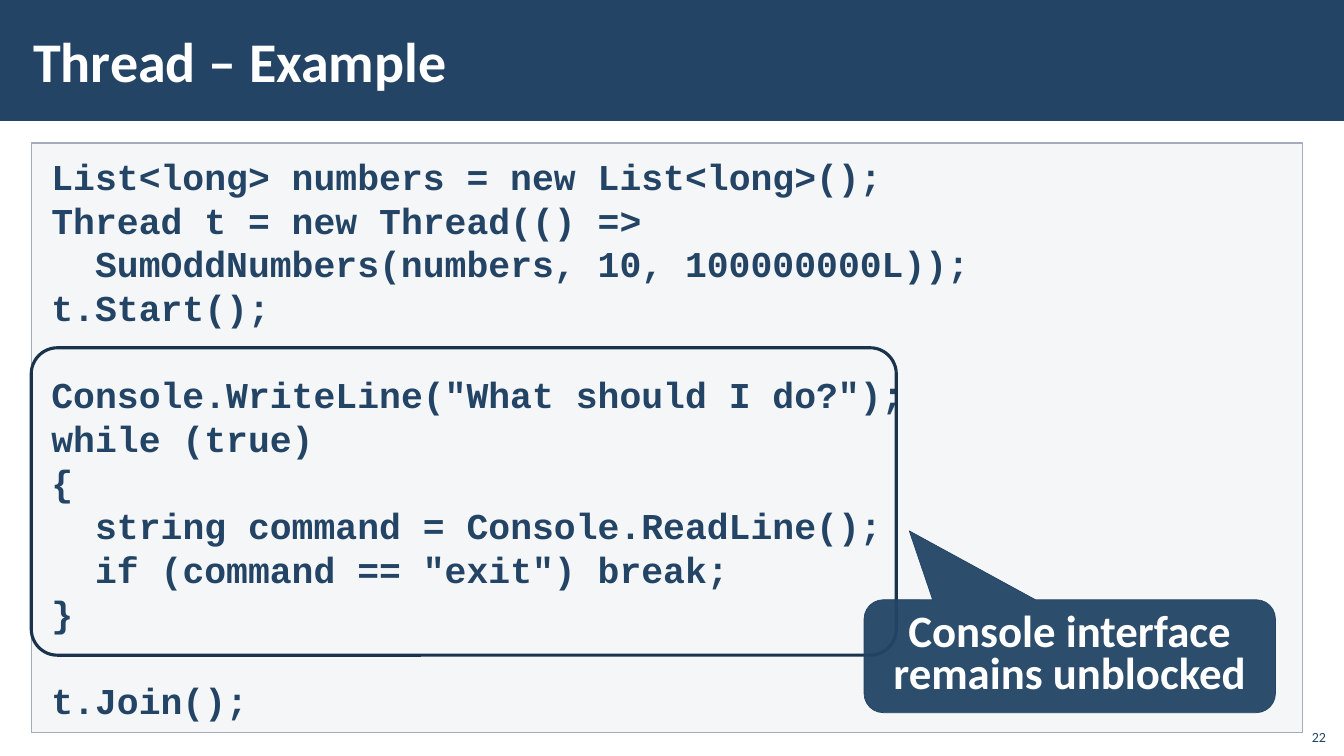
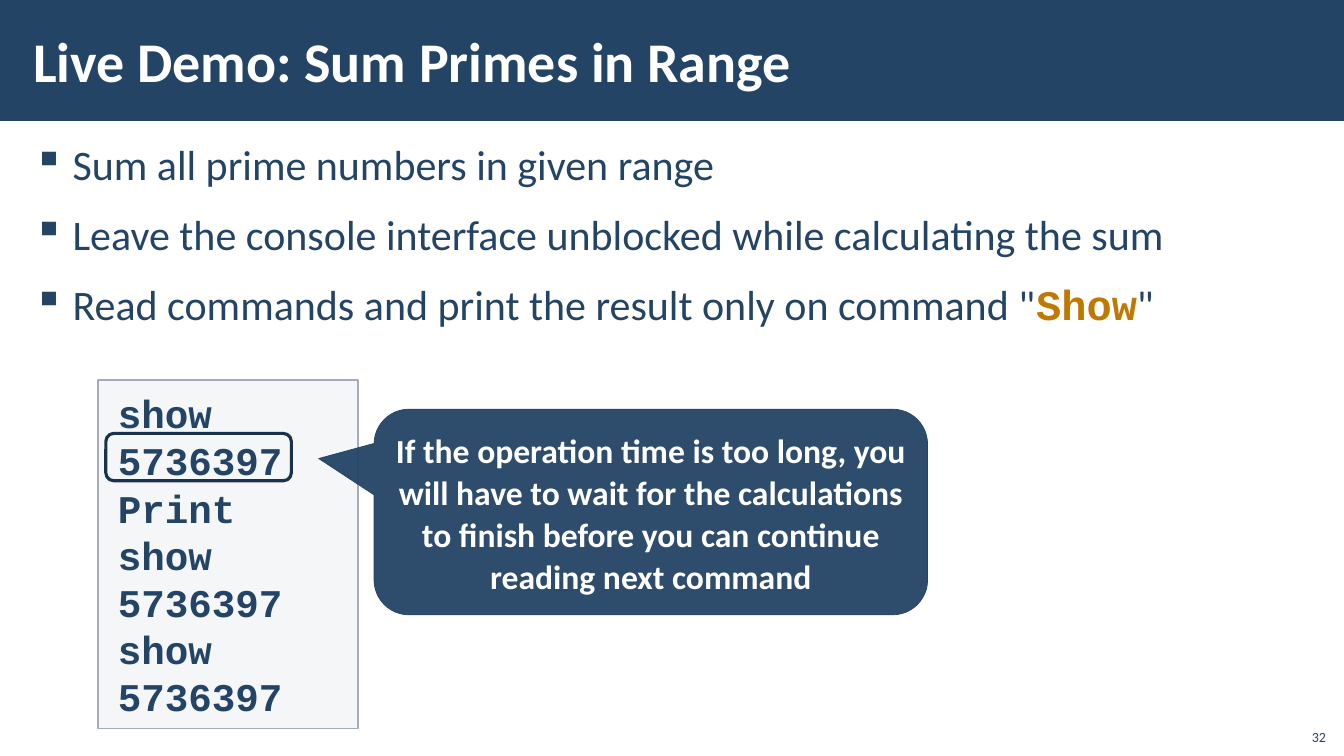
from lxml.etree import SubElement
from pptx import Presentation
from pptx.dml.color import RGBColor
from pptx.enum.shapes import MSO_SHAPE
from pptx.enum.text import MSO_ANCHOR, PP_ALIGN
from pptx.oxml.ns import qn
from pptx.util import Inches, Pt

NAVY = RGBColor(0x23, 0x44, 0x65)
DARK_NAVY = RGBColor(0x1A, 0x33, 0x4C)
PANEL_FILL = RGBColor(0xC2, 0xC7, 0xD2)
PANEL_LINE = RGBColor(0xA3, 0xAB, 0xBC)
WHITE = RGBColor(0xFF, 0xFF, 0xFF)
ORANGE = RGBColor(0xBF, 0x78, 0x00)

TEXT_FONT = "Calibri"
CODE_FONT = "Courier New"
CODE_LEFT = 0.2
CODE_LINE = 1.2  # line pitch as a multiple of the font size
CODE_MARGINS = (0, 0.08)
CALLOUT_MARGINS = (0.1, 0.08)
PLACE_MARGINS = (0.12, 0.04)


def add_box(slide, kind, place, fill=None, opacity=100, line=None, line_width=1, adjustments=()):
    """Add a preset shape; without a fill or line colour that part is left clear."""
    shape = slide.shapes.add_shape(kind, *map(Inches, place))
    shape.shadow.inherit = False
    for index, value in enumerate(adjustments):
        shape.adjustments[index] = value
    if fill is None:
        shape.fill.background()
    else:
        shape.fill.solid()
        shape.fill.fore_color.rgb = fill
        if opacity < 100:
            color = shape.fill._xPr.find(qn("a:solidFill"))[0]
            SubElement(color, qn("a:alpha"), val=str(opacity * 1000))
    if line is None:
        shape.line.fill.background()
    else:
        shape.line.color.rgb = line
        shape.line.width = Pt(line_width)
    return shape


def write(shape, lines, size, color, margins, font=TEXT_FONT, bold=True,
          align=PP_ALIGN.LEFT, anchor=MSO_ANCHOR.MIDDLE):
    """Fill a shape with one paragraph per line and return the paragraphs."""
    frame = shape.text_frame
    frame.word_wrap = True
    frame.vertical_anchor = anchor
    frame.margin_left = frame.margin_right = Inches(margins[0])
    frame.margin_top = frame.margin_bottom = Inches(margins[1])
    frame.text = "\n".join(lines)
    for paragraph in frame.paragraphs:
        paragraph.alignment = align
        paragraph.font.name = font
        paragraph.font.size = Pt(size)
        paragraph.font.bold = bold
        paragraph.font.color.rgb = color
    return frame.paragraphs


presentation = Presentation()
presentation.slide_width = Inches(13.33)
presentation.slide_height = Inches(7.5)

# Title band and slide number
slides = []
for title, number in (("Thread – Example", 22), ("Live Demo: Sum Primes in Range", 32)):
    slide = presentation.slides.add_slide(presentation.slide_layouts[6])
    add_box(slide, MSO_SHAPE.RECTANGLE, (0, 0, 13.33, 1.2), fill=NAVY)
    title_box = slide.shapes.add_textbox(*map(Inches, (0.21, 0.11, 10.63, 0.97)))
    write(title_box, [title], 40, WHITE, PLACE_MARGINS)
    number_box = slide.shapes.add_textbox(*map(Inches, (12.85, 7.12, 0.4, 0.32)))
    write(number_box, [str(number)], 10, NAVY, (0.1, 0.05), bold=False,
          align=PP_ALIGN.RIGHT, anchor=MSO_ANCHOR.BOTTOM)
    slides.append(slide)
thread_slide, demo_slide = slides

# Bullets: text, then an optional code word and the text after it
bullets = (
    ("Sum all prime numbers in given range",),
    ("Leave the console interface unblocked while calculating the sum",),
    ("Read commands and print the result only on command \"", "Show", "\""),
)
bullet_box = demo_slide.shapes.add_textbox(*map(Inches, (0.21, 1.31, 12.92, 6.05)))
paragraphs = write(bullet_box, [bullet[0] for bullet in bullets], 30, NAVY, PLACE_MARGINS,
                   bold=False, anchor=MSO_ANCHOR.TOP)
for paragraph, bullet in zip(paragraphs, bullets):
    properties = paragraph._p.get_or_add_pPr()
    properties.set("marL", str(Inches(0.39)))
    properties.set("indent", str(-Inches(0.39)))
    mark = SubElement(properties, qn("a:buChar"), char="▪")
    properties.find(qn("a:defRPr")).addprevious(mark)
    paragraph.line_spacing = 1.05
    paragraph.space_before = paragraph.space_after = Pt(6)
    for position, text in enumerate(bullet[1:]):
        run = paragraph.add_run()
        run.text = text
        if position == 0:
            run.font.name = CODE_FONT
            run.font.bold = True
            run.font.color.rgb = ORANGE

# Code panels: each inner list is a block, with one line of space between blocks
thread_code = (
    ("List<long> numbers = new List<long>();",
     "Thread t = new Thread(() =>",
     "  SumOddNumbers(numbers, 10, 100000000L));",
     "t.Start();"),
    ("Console.WriteLine(\"What should I do?\");",
     "while (true)",
     "{",
     "  string command = Console.ReadLine();",
     "  if (command == \"exit\") break;",
     "}"),
    ("t.Join();",),
)
demo_session = (("show", "5736397", "Print", "show", "5736397", "show", "5736397"),)
for slide, place, size, blocks in (
    (thread_slide, (0.31, 1.42, 12.61, 5.85), 26, thread_code),
    (demo_slide, (0.97, 3.77, 2.58, 3.46), 28, demo_session),
):
    panel = add_box(slide, MSO_SHAPE.RECTANGLE, place, PANEL_FILL, 15, PANEL_LINE)
    lines = [line for block in blocks for line in block]
    block_starts = [block[0] for block in blocks[1:]]
    paragraphs = write(panel, [line.strip() for line in lines], size, NAVY, CODE_MARGINS, CODE_FONT)
    for paragraph, line in zip(paragraphs, lines):
        spaces = len(line) - len(line.lstrip())
        indent = Inches(CODE_LEFT) + Pt(spaces * 0.6 * size)
        paragraph._p.get_or_add_pPr().set("marL", str(indent))
        paragraph.line_spacing = Pt(size * CODE_LINE)
        if line in block_starts:
            paragraph.space_before = Pt(size * CODE_LINE)

# Highlight frames
for slide, place, radius in (
    (thread_slide, (0.31, 3.45, 8.58, 3.05), 0.085),
    (demo_slide, (1.05, 4.3, 1.84, 0.47), 0.17),
):
    add_box(slide, MSO_SHAPE.ROUNDED_RECTANGLE, place, line=DARK_NAVY, line_width=2.25,
            adjustments=(radius,))

# Callouts
for slide, place, tail, size, lines in (
    (thread_slide, (8.57, 5.95, 4.08, 1.12), (-0.39, -1.11), 32,
     ["Console interface", "remains unblocked"]),
    (demo_slide, (3.71, 4.06, 5.49, 2.04), (-0.6, -0.26), 24,
     ["If the operation time is too long, you will have to wait for the calculations "
      "to finish before you can continue reading next command"]),
):
    callout = add_box(slide, MSO_SHAPE.ROUNDED_RECTANGULAR_CALLOUT, place, NAVY, 95, NAVY, 0.5,
                      (*tail, 0.17))
    for paragraph in write(callout, lines, size, WHITE, CALLOUT_MARGINS, align=PP_ALIGN.CENTER):
        paragraph.line_spacing = Pt(30)

presentation.save("out.pptx")
